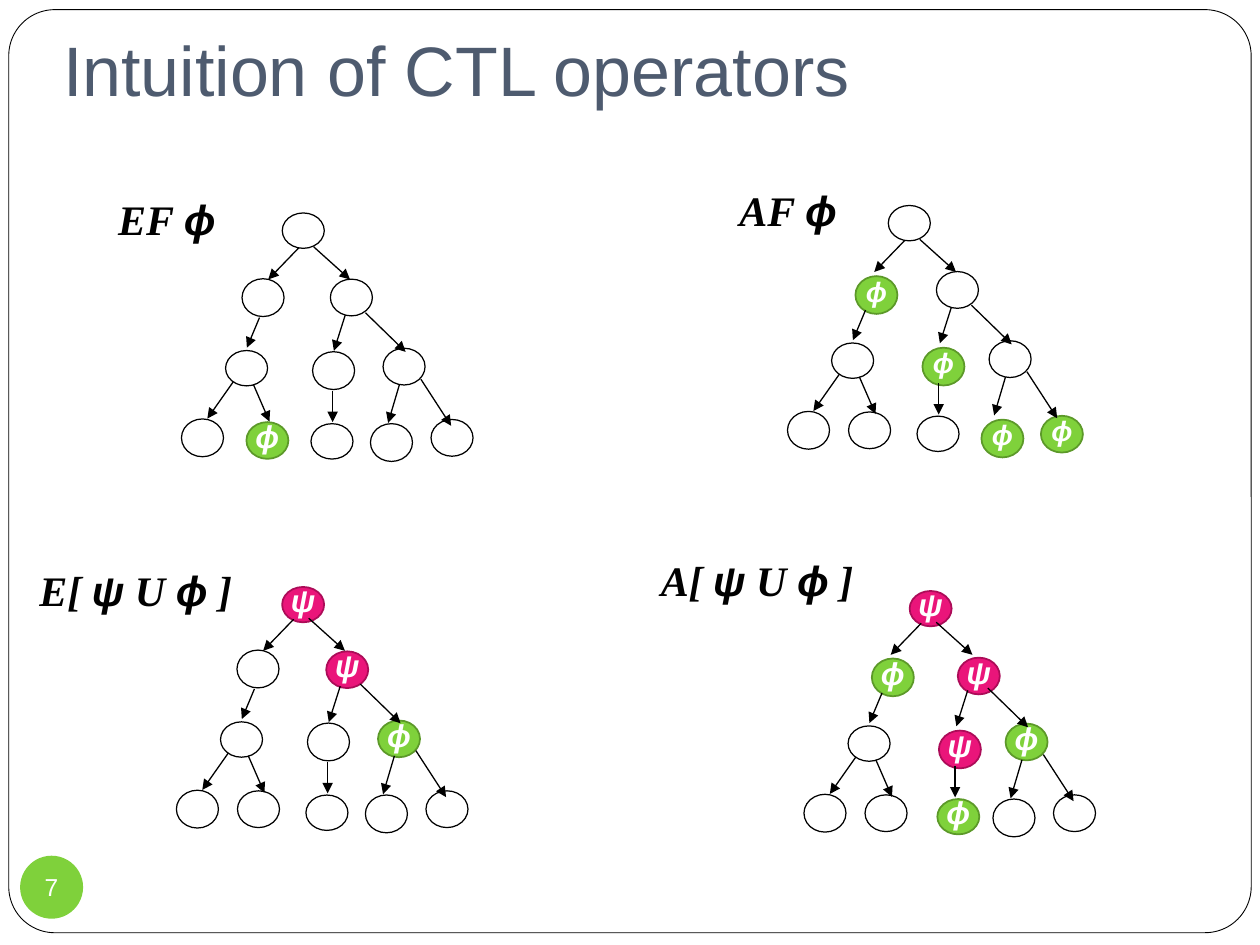
from lxml import etree
from pptx import Presentation
from pptx.dml.color import RGBColor
from pptx.enum.shapes import MSO_CONNECTOR, MSO_SHAPE
from pptx.enum.text import MSO_ANCHOR, PP_ALIGN
from pptx.oxml.ns import qn
from pptx.util import Pt

ELLIPSE, FRAME = MSO_SHAPE.OVAL, MSO_SHAPE.ROUNDED_RECTANGLE
STRAIGHT = MSO_CONNECTOR.STRAIGHT
MIDDLE, BOTTOM = MSO_ANCHOR.MIDDLE, MSO_ANCHOR.BOTTOM
CENTER, LEFT, RIGHT = PP_ALIGN.CENTER, PP_ALIGN.LEFT, PP_ALIGN.RIGHT

BLACK, WHITE, GREEN = "000000", "FFFFFF", "7FD13B"
STATE_COLORS = {"ϕ": (GREEN, "5C9929"), "ψ": ("EA157A", "AC0C58")}
NODE_WIDTH = 24

# Node: left, top, height, measured from the corner of the tree
NODES = {
    "root": (0, 0, 20.2),
    "left": (-23, 37.6, 21.6),
    "right": (27.5, 37.8, 21),
    "left child": (-32.4, 78.6, 20.2),
    "middle child": (17.3, 79.3, 21.6),
    "right child": (57.6, 77.3, 21),
    "leaf 1": (-57.6, 117.7, 21.6),
    "leaf 2": (-22.7, 118, 21),
    "leaf 3": (16.4, 120.4, 20.2),
    "leaf 4": (50.4, 120.4, 21.6),
    "leaf 5": (85, 118, 21),
}
# Arrow: start x, start y, end x, end y, measured in the same way
ARROWS = [
    (9.4, 20, -8, 38), (18, 19.4, 38.7, 38),
    (-13, 59.8, -20.2, 77), (36, 58.3, 29.5, 78.8), (47.5, 57, 70.5, 79.4),
    (-28, 96.5, -42.8, 117.5), (-16.5, 98, -7.3, 119.2), (28.8, 101.5, 28.8, 119.5),
    (67, 98, 60.5, 120), (79.2, 95, 96.5, 121.6),
]

# Marked nodes: symbol and the shift of the node from its usual place
TREES = [
    {"formula": "EF ϕ", "label": (46.8, 107.3, 83.5), "corner": (161.3, 121.7), "size": 18,
     "marks": {"leaf 2": ("ϕ", 2.2, 1.5)}},
    {"formula": "AF ϕ", "label": (401.8, 102.2, 83.5), "corner": (507.6, 117.4), "size": 16,
     "marks": {"left": ("ϕ", 4.2, 2.8), "middle child": ("ϕ", 2.2, 2),
               "leaf 4": ("ϕ", 2.8, 2), "leaf 5": ("ϕ", 2.2, 2.2)}},
    {"formula": "E[ ψ U ϕ ]", "label": (0, 319, 139.7), "corner": (158.4, 333.9), "size": 18,
     "marks": {"root": ("ψ", 2.8, 1.5), "right": ("ψ", 0.5, 0.5),
               "right child": ("ϕ", 0, 0.5)}},
    {"formula": "A[ ψ U ϕ ]", "label": (355, 313.2, 139.7), "corner": (517, 336.2), "size": 18,
     "marks": {"root": ("ψ", 2.8, 1.5), "left": ("ϕ", 4.2, 2.5), "right": ("ψ", 2.8, 1.8),
               "middle child": ("ψ", 2.2, 2), "right child": ("ϕ", 0, 0),
               "leaf 3": ("ϕ", 2.2, 0)}},
]


def rgb(value):
    return RGBColor.from_string(value)


def add_filled(shapes, kind, box, fill, line, line_width, text="", size=18):
    """Add a shape with optional fill, outline and centred white text."""
    shape = shapes.add_shape(kind, *(Pt(v) for v in box))
    shape.shadow.inherit = False
    if fill:
        shape.fill.solid()
        shape.fill.fore_color.rgb = rgb(fill)
    else:
        shape.fill.background()
    if line:
        shape.line.color.rgb = rgb(line)
        shape.line.width = Pt(line_width)
    else:
        shape.line.fill.background()
    if text:
        frame = shape.text_frame
        frame.margin_left = frame.margin_right = frame.margin_top = frame.margin_bottom = 0
        frame.vertical_anchor = MIDDLE
        frame.text = text
        frame.paragraphs[0].alignment = CENTER
        font = frame.paragraphs[0].runs[0].font
        font.name, font.size = "Arial", Pt(size)
        font.color.rgb = rgb(WHITE)
    return shape


presentation = Presentation()
presentation.slide_width, presentation.slide_height = Pt(720), Pt(540)
slide = presentation.slides.add_slide(presentation.slide_layouts[5])

title = slide.shapes.title
title.left, title.top, title.width, title.height = Pt(28.8), Pt(21.6), Pt(655.2), Pt(49)
title.text_frame.text = "Intuition of CTL operators"
title.text_frame.vertical_anchor = BOTTOM
title.text_frame.margin_bottom = Pt(7.2)
title.text_frame.paragraphs[0].alignment = LEFT
title_font = title.text_frame.paragraphs[0].runs[0].font
title_font.name, title_font.size = "Arial", Pt(40)
title_font.color.rgb = rgb("4E5B6F")

border = add_filled(slide.shapes, FRAME, (5, 5.5, 710, 533 - 5.5), None, BLACK, 0.5)
border.adjustments[0] = 0.05

for tree in TREES:
    corner_x, corner_y = tree["corner"]
    group = slide.shapes.add_group_shape()

    for name, (x, y, height) in NODES.items():
        symbol, shift_x, shift_y = tree["marks"].get(name, ("", 0, 0))
        fill, outline = STATE_COLORS.get(symbol, (None, BLACK))
        box = (corner_x + x + shift_x, corner_y + y + shift_y, NODE_WIDTH, height)
        node = add_filled(group.shapes, ELLIPSE, box, fill, outline,
                          1 if symbol else 0.71, symbol, tree["size"])
        if symbol:
            state = node.text_frame.paragraphs[0]
            state.line_spacing = 0.72
            state.runs[0].font.bold = state.runs[0].font.italic = True

    for x1, y1, x2, y2 in ARROWS:
        arrow = group.shapes.add_connector(
            STRAIGHT, Pt(corner_x + x1), Pt(corner_y + y1), Pt(corner_x + x2), Pt(corner_y + y2))
        arrow.line.color.rgb = rgb(BLACK)
        arrow.line.width = Pt(0.75)
        etree.SubElement(arrow.line._get_or_add_ln(), qn("a:tailEnd"), type="triangle")
        etree.SubElement(arrow._element.spPr, qn("a:effectLst"))

    left, top, width = tree["label"]
    label = slide.shapes.add_textbox(Pt(left), Pt(top), Pt(width), Pt(36))
    label.text_frame.word_wrap = True
    formula = label.text_frame.paragraphs[0]
    formula.alignment = RIGHT
    # Greek letters get a run of their own
    pieces = tree["formula"].replace("ψ", "|ψ|").replace("ϕ", "|ϕ|").split("|")
    for piece in filter(None, pieces):
        run = formula.add_run()
        run.text = piece
        run.font.name = "Arial" if piece in STATE_COLORS else "Times New Roman"
        run.font.size = Pt(24)
        run.font.bold = run.font.italic = True
        run.font.color.rgb = rgb(BLACK)

page_number = add_filled(slide.shapes, ELLIPSE, (11.5, 489, 36, 36), GREEN, None, 0, "7", 14)
page_number.text_frame.word_wrap = False

presentation.save("out.pptx")
